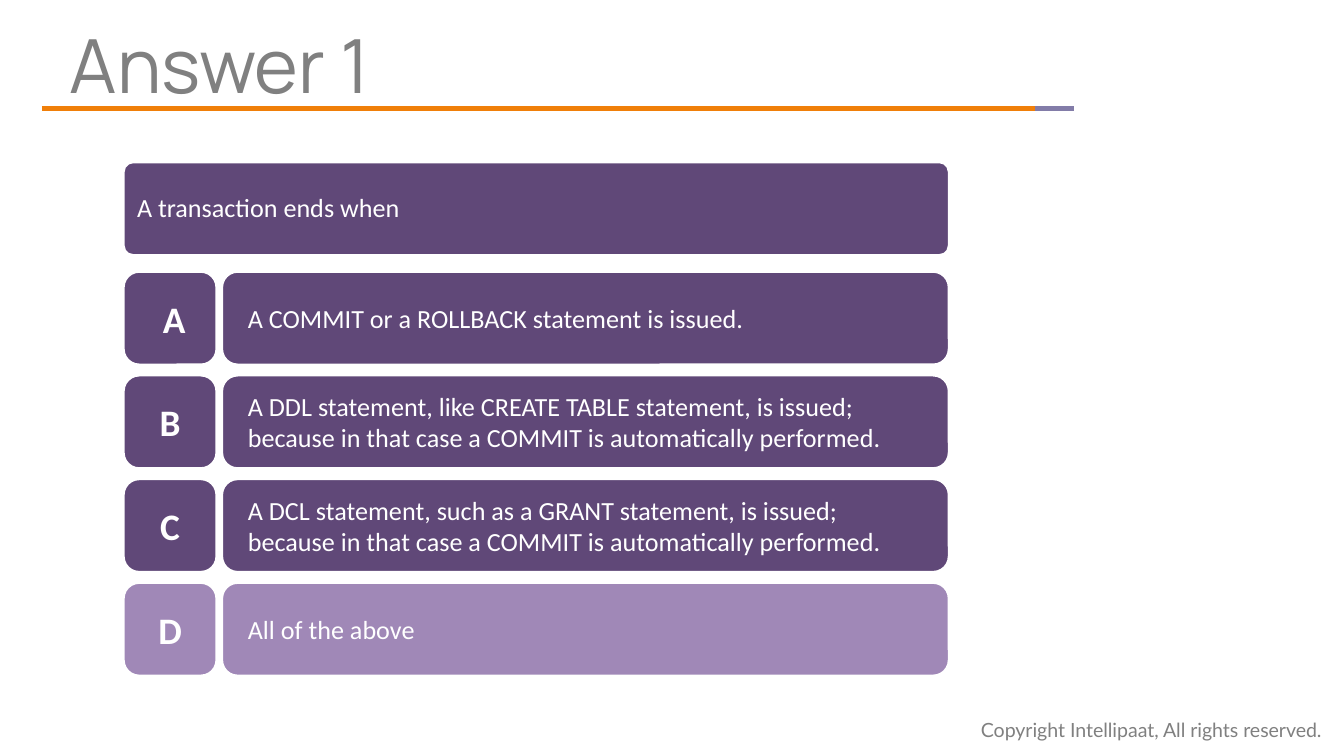
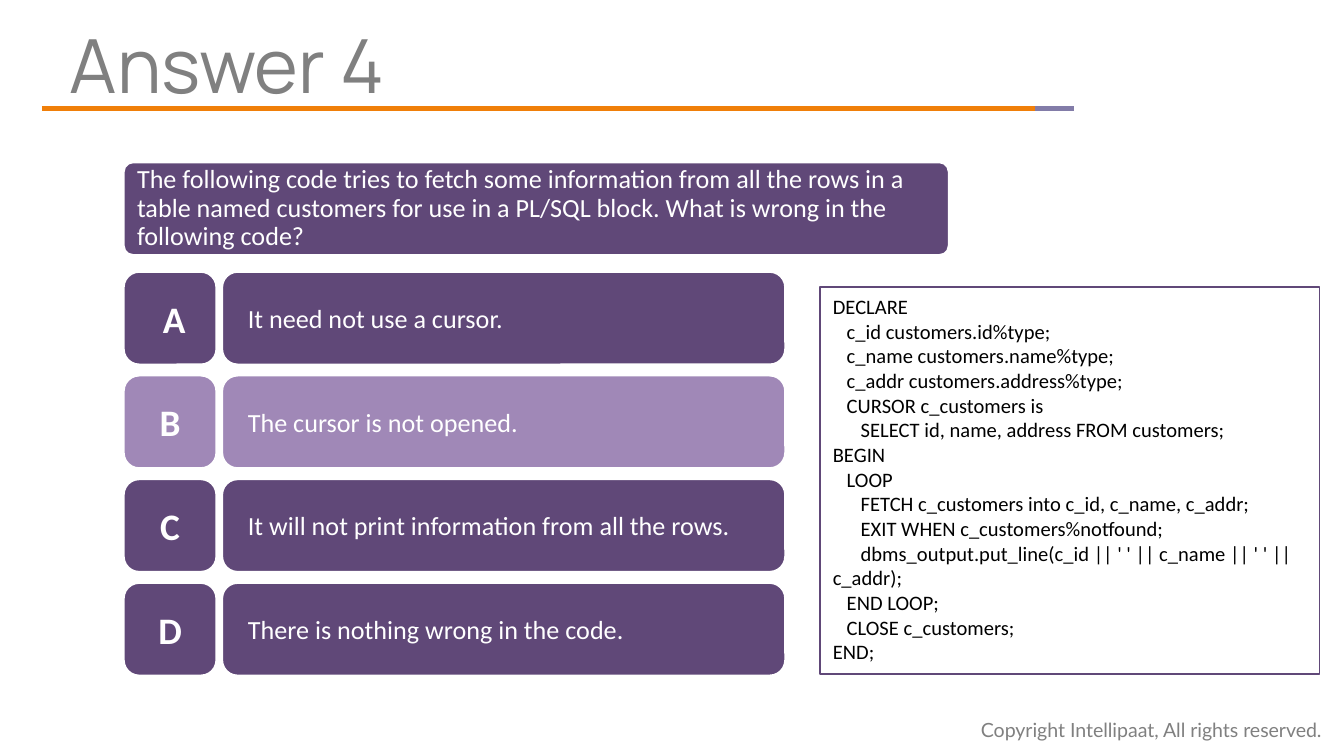
from dataclasses import dataclass

from lxml.etree import SubElement
from pptx import Presentation
from pptx.dml.color import RGBColor
from pptx.enum.shapes import MSO_CONNECTOR, MSO_SHAPE
from pptx.enum.text import MSO_ANCHOR, MSO_AUTO_SIZE, PP_ALIGN
from pptx.oxml.ns import qn
from pptx.shapes.autoshape import Shape
from pptx.slide import Slide
from pptx.text.text import TextFrame
from pptx.util import Cm, Pt

COLORS = {
    "purple": "604878",
    "correct": "A088B7",
    "orange": "F07F09",
    "lilac": "827CA8",
    "grey": "808080",
    "white": "FFFFFF",
    "black": "000000",
}
TITLE_FONT, BODY_FONT, FOOTER_FONT = "Manrope", "Calibri", "Lato"
FOOTER = "Copyright Intellipaat, All rights reserved."

# Lengths in centimetres
LEFT, RIGHT = 2.34, 17.93
QUESTION_TOP = 3.07
ROW_TOP, ROW_HEIGHT, ROW_PITCH = 5.14, 1.75, 1.96
ANSWER_LEFT = 4.2
RULE_Y = 2.05
LETTERS = (" A", "B", "C", "D")


@dataclass(frozen=True)
class Box:
    left: float
    top: float
    width: float
    height: float

    def emu(self) -> tuple[Cm, Cm, Cm, Cm]:
        return Cm(self.left), Cm(self.top), Cm(self.width), Cm(self.height)


@dataclass(frozen=True)
class Rule:
    start: float
    end: float
    color: str


@dataclass(frozen=True)
class Quiz:
    title: str
    question: str
    answers: tuple[str, ...]
    correct: int
    answers_right: float = RIGHT
    code: str = ""


RULES = (Rule(0.79, 19.56, "orange"), Rule(19.56, 20.29, "lilac"))
TITLE_BOX = Box(1.32, 0.41, 18.03, 1.6)
FOOTER_BOX = Box(18.29, 13.44, 7.19, 0.71)
CODE_BOX = Box(15.49, 5.43, 9.45, 7.32)

FETCH_CODE = """DECLARE
   c_id customers.id%type;
   c_name customers.name%type;
   c_addr customers.address%type;
   CURSOR c_customers is
      SELECT id, name, address FROM customers;
BEGIN
   LOOP
      FETCH c_customers into c_id, c_name, c_addr;
      EXIT WHEN c_customers%notfound;
      dbms_output.put_line(c_id || ' ' || c_name || ' ' || c_addr);
   END LOOP;
   CLOSE c_customers;
END;"""

COMMIT_REASON = "is issued; because in that case a COMMIT is automatically performed."

QUIZZES = (
    Quiz(
        title="Answer 1",
        question="A transaction ends when",
        answers=(
            "A COMMIT or a ROLLBACK statement is issued.",
            f"A DDL statement, like CREATE TABLE statement, {COMMIT_REASON}",
            f"A DCL statement, such as a GRANT statement, {COMMIT_REASON}",
            "All of the above",
        ),
        correct=3,
    ),
    Quiz(
        title="Answer 4",
        question="The following code tries to fetch some information from all the rows "
        "in a table named customers for use in a PL/SQL block. "
        "What is wrong in the following code?",
        answers=(
            "It need not use a cursor.",
            "The cursor is not opened.",
            "It will not print information from all the rows.",
            "There is nothing wrong in the code.",
        ),
        correct=1,
        answers_right=14.84,
        code=FETCH_CODE,
    ),
)


def rgb(name: str) -> RGBColor:
    return RGBColor.from_string(COLORS[name])


def write(
    tf: TextFrame,
    text: str,
    *,
    size: float,
    color: str = "white",
    font: str = BODY_FONT,
    bold: bool = False,
    align: PP_ALIGN = PP_ALIGN.LEFT,
    anchor: MSO_ANCHOR = MSO_ANCHOR.MIDDLE,
    margins: tuple[float, float, float, float] = (0.25, 0.13, 0.25, 0.13),
    spacing: float = 1.0,
    wrap: bool = True,
) -> None:
    """Fill a frame, one paragraph per line; margins are left, top, right, bottom."""
    tf.word_wrap = wrap
    tf.vertical_anchor = anchor
    tf.margin_left, tf.margin_top, tf.margin_right, tf.margin_bottom = map(Cm, margins)
    for i, line in enumerate(text.split("\n")):
        p = tf.add_paragraph() if i else tf.paragraphs[0]
        p.alignment = align
        p.line_spacing = spacing
        r = p.add_run()
        r.text = line
        r.font.name = font
        r.font.size = Pt(size)
        r.font.bold = bold
        r.font.color.rgb = rgb(color)


def add_panel(
    s: Slide, box: Box, fill: str, line: str = "white", corner: float = 0
) -> Shape:
    """Add a rectangle, rounded when a corner ratio is given."""
    kind = MSO_SHAPE.ROUNDED_RECTANGLE if corner else MSO_SHAPE.RECTANGLE
    sp = s.shapes.add_shape(kind, *box.emu())
    if corner:
        sp.adjustments[0] = corner
    sp.shadow.inherit = False
    sp.fill.solid()
    sp.fill.fore_color.rgb = rgb(fill)
    sp.line.color.rgb = rgb(line)
    sp.line.width = Pt(1)
    return sp


def add_rule(s: Slide, rule: Rule) -> None:
    line = s.shapes.add_connector(
        MSO_CONNECTOR.STRAIGHT, Cm(rule.start), Cm(RULE_Y), Cm(rule.end), Cm(RULE_Y)
    )
    line.line.color.rgb = rgb(rule.color)
    line.line.width = Pt(3)
    SubElement(line._element.spPr, qn("a:effectLst"))


def add_frame(s: Slide, title: str) -> None:
    """Add what every slide shares: footer, rules and title."""
    footer = s.shapes.add_textbox(*FOOTER_BOX.emu())
    write(footer.text_frame, FOOTER, size=10.5, color="grey", font=FOOTER_FONT,
          anchor=MSO_ANCHOR.TOP, wrap=False)
    for rule in RULES:
        add_rule(s, rule)
    sp = s.shapes.title
    sp.left, sp.top, sp.width, sp.height = TITLE_BOX.emu()
    sp.text_frame.auto_size = MSO_AUTO_SIZE.NONE
    write(sp.text_frame, title, size=40, color="grey", font=TITLE_FONT,
          anchor=MSO_ANCHOR.TOP, margins=(0, 0.13, 0.25, 0.13), spacing=0.9)


def add_answer(s: Slide, row: int, text: str, right: float, correct: bool) -> None:
    fill = "correct" if correct else "purple"
    top = ROW_TOP + row * ROW_PITCH
    letter = add_panel(s, Box(LEFT, top, ROW_HEIGHT, ROW_HEIGHT), fill, corner=0.167)
    write(letter.text_frame, LETTERS[row], size=20, bold=True, align=PP_ALIGN.CENTER)
    box = Box(ANSWER_LEFT, top, right - ANSWER_LEFT, ROW_HEIGHT)
    answer = add_panel(s, box, fill, corner=0.167)
    write(answer.text_frame, text, size=14, margins=(0.4, 0.4, 0.4, 0.4))


def add_quiz(prs: Presentation, quiz: Quiz) -> None:
    s = prs.slides.add_slide(prs.slide_layouts[5])
    add_frame(s, quiz.title)
    box = Box(LEFT, QUESTION_TOP, RIGHT - LEFT, ROW_HEIGHT)
    question = add_panel(s, box, "purple", corner=0.1)
    write(question.text_frame, quiz.question, size=14, spacing=0.9,
          margins=(0.2, 0.13, 0.2, 0.13))
    for row, text in enumerate(quiz.answers):
        add_answer(s, row, text, quiz.answers_right, row == quiz.correct)
    if quiz.code:
        listing = add_panel(s, CODE_BOX, "white", line="purple")
        write(listing.text_frame, quiz.code, size=11, color="black",
              anchor=MSO_ANCHOR.TOP)


def main() -> None:
    prs = Presentation()
    prs.slide_width, prs.slide_height = Cm(25.4), Cm(14.29)
    for quiz in QUIZZES:
        add_quiz(prs, quiz)
    prs.save("out.pptx")


if __name__ == "__main__":
    main()
